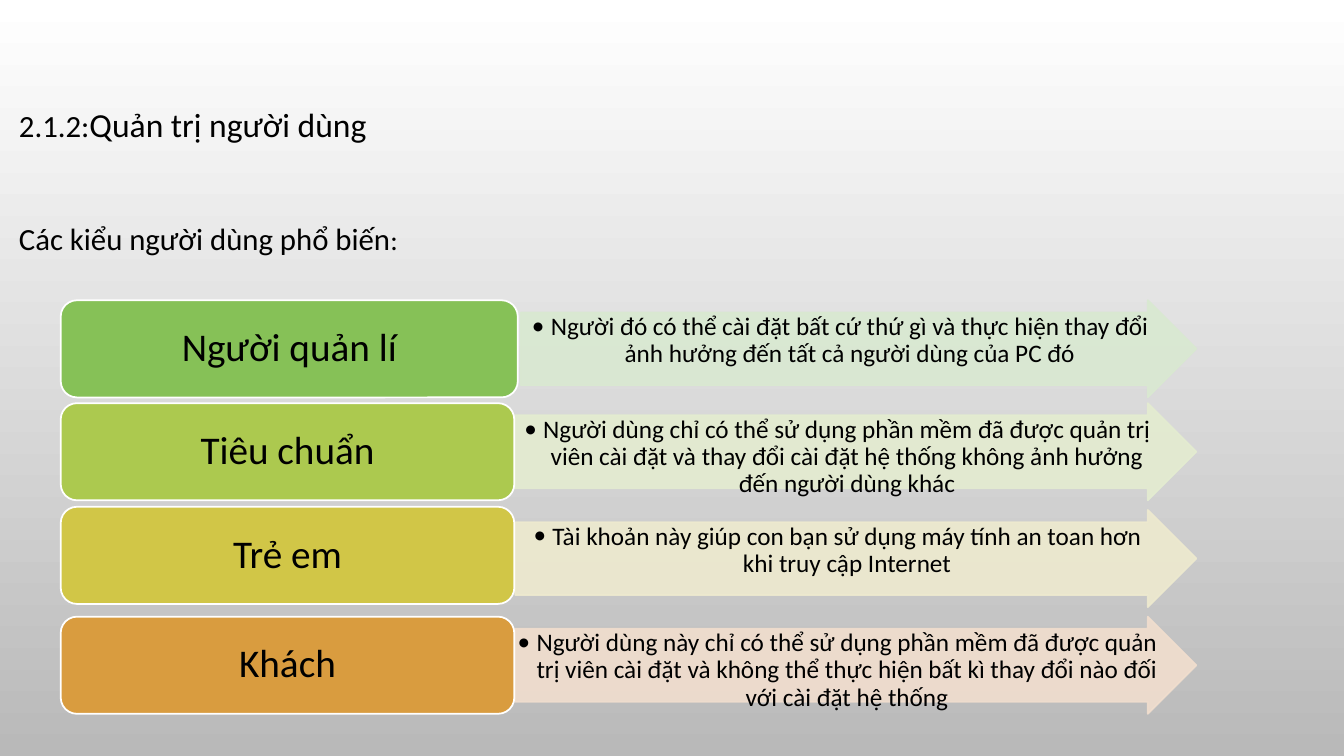
"""Build the slide on the common kinds of user account."""
from dataclasses import dataclass

from lxml.etree import SubElement
from pptx import Presentation
from pptx.dml.color import RGBColor
from pptx.enum.shapes import MSO_SHAPE as Preset
from pptx.enum.text import MSO_ANCHOR as Anchor, PP_ALIGN as Align
from pptx.oxml.ns import qn
from pptx.shapes.autoshape import Shape
from pptx.slide import Slide
from pptx.text.text import _Paragraph as Paragraph
from pptx.util import Pt

BLACK = RGBColor(0x00, 0x00, 0x00)
WHITE = RGBColor(0xFF, 0xFF, 0xFF)
GREY = RGBColor(0xB9, 0xB9, 0xB9)
GREEN = RGBColor(0x86, 0xC1, 0x57)
PALE_GREEN = RGBColor(0xD9, 0xE9, 0xD1)
LIME = RGBColor(0xAC, 0xC9, 0x4F)
PALE_LIME = RGBColor(0xE4, 0xEC, 0xD0)
YELLOW = RGBColor(0xD1, 0xC6, 0x47)
PALE_YELLOW = RGBColor(0xEE, 0xEA, 0xCF)
ORANGE = RGBColor(0xD9, 0x9C, 0x3F)
PALE_ORANGE = RGBColor(0xF1, 0xDE, 0xCE)

FONT = "Calibri"
LABEL_LEFT = 43.4
ARROW_RIGHT = 854.6
ROW_HEIGHT = 69.4
BULLET_INDENT = 13.5


@dataclass(frozen=True)
class UserType:
    """One kind of user: its label and the arrow that describes it."""
    name: str
    description: str
    color: RGBColor
    pale_color: RGBColor
    label_top: float
    arrow_top: float
    label_width: float = 324
    arrow_left: float = 368


@dataclass(frozen=True)
class HeadingRun:
    """A piece of heading text with its size."""
    text: str
    size: float


USER_TYPES = [
    UserType("Người quản lí",
             "Người đó có thể cài đặt bất cứ thứ gì và thực hiện thay đổi "
             "ảnh hưởng đến tất cả người dùng của PC đó",
             GREEN, PALE_GREEN, 214.5, 214.5, 326.5, 372),
    UserType("Tiêu chuẩn",
             "Người dùng chỉ có thể sử dụng phần mềm đã được quản trị viên cài đặt "
             "và thay đổi cài đặt hệ thống không ảnh hưởng đến người dùng khác",
             LIME, PALE_LIME, 288, 288),
    UserType("Trẻ em",
             "Tài khoản này giúp con bạn sử dụng máy tính an toan hơn "
             "khi truy cập Internet",
             YELLOW, PALE_YELLOW, 362, 364.3),
    UserType("Khách",
             "Người dùng này chỉ có thể sử dụng phần mềm đã được quản trị viên cài đặt "
             "và không thể thực hiện bất kì thay đổi nào đối với cài đặt hệ thống",
             ORANGE, PALE_ORANGE, 440.5, 440.5),
]

HEADINGS = [
    [HeadingRun("2.1.2:", 22), HeadingRun("Quản trị người dùng", 24)],
    [HeadingRun("Các kiểu người dùng phổ biến", 22), HeadingRun(":", 20)],
]


def format_runs(paragraph: Paragraph, size: float) -> None:
    """Apply the slide's font to every run of a paragraph."""
    for run in paragraph.runs:
        run.font.name = FONT
        run.font.size = Pt(size)
        run.font.color.rgb = BLACK


def add_block(slide: Slide, preset: Preset, left: float, top: float, width: float,
              fill: RGBColor, line: RGBColor) -> Shape:
    """Add a filled and outlined shape of the common row height."""
    shape = slide.shapes.add_shape(preset, Pt(left), Pt(top), Pt(width), Pt(ROW_HEIGHT))
    shape.shadow.inherit = False
    shape.fill.solid()
    shape.fill.fore_color.rgb = fill
    shape.line.color.rgb = line
    shape.line.width = Pt(1.25)
    return shape


def set_text(shape: Shape, text: str, size: float, anchor: Anchor,
             margins: tuple[float, float, float, float]) -> Paragraph:
    """Write centred text, with left, top, right and bottom margins."""
    frame = shape.text_frame
    frame.word_wrap = True
    frame.vertical_anchor = anchor
    (frame.margin_left, frame.margin_top,
     frame.margin_right, frame.margin_bottom) = map(Pt, margins)
    frame.text = text
    paragraph = frame.paragraphs[0]
    paragraph.alignment = Align.CENTER
    paragraph.line_spacing = 0.9
    format_runs(paragraph, size)
    return paragraph


def add_bullet(paragraph: Paragraph) -> None:
    """Give a paragraph a round bullet with a hanging indent."""
    properties = paragraph._p.get_or_add_pPr()
    properties.set("marL", str(Pt(BULLET_INDENT)))
    properties.set("indent", str(-Pt(BULLET_INDENT)))
    SubElement(properties, qn("a:buFont")).set("typeface", FONT)
    SubElement(properties, qn("a:buChar")).set("char", "•")


def set_opacity(shape: Shape, percent: int) -> None:
    """Make the fill and outline of a shape partly transparent."""
    for color in shape._element.spPr.iter(qn("a:srgbClr")):
        SubElement(color, qn("a:alpha")).set("val", str(percent * 1000))


def add_user_type(slide: Slide, user: UserType) -> None:
    """Draw the arrow and the label of one kind of user."""
    arrow = add_block(slide, Preset.RIGHT_ARROW, user.arrow_left, user.arrow_top,
                      ARROW_RIGHT - user.arrow_left, user.pale_color, user.pale_color)
    arrow.adjustments[0] = 0.75
    arrow.adjustments[1] = 0.5
    set_opacity(arrow, 90)
    add_bullet(set_text(arrow, user.description, 18, Anchor.TOP, (0.8, 0.8, 0.8, 0.8)))

    label = add_block(slide, Preset.ROUNDED_RECTANGLE, LABEL_LEFT, user.label_top,
                      user.label_width, user.color, WHITE)
    set_text(label, user.name, 28, Anchor.MIDDLE, (12, 8, 12, 8))


def add_headings(slide: Slide) -> None:
    """Write the section title and the line that introduces the list."""
    box = slide.shapes.add_textbox(Pt(6.5), Pt(64.8), Pt(931), Pt(130))
    frame = box.text_frame
    frame.word_wrap = True
    for index, heading in enumerate(HEADINGS):
        paragraph = frame.add_paragraph() if index else frame.paragraphs[0]
        paragraph.line_spacing = 1.2
        paragraph.space_before = Pt(48.6 * index)
        for piece in heading:
            run = paragraph.add_run()
            run.text = piece.text
            run.font.name = FONT
            run.font.size = Pt(piece.size)
            run.font.color.rgb = BLACK


def set_background(slide: Slide) -> None:
    """Fill the background from white at the top to grey at the bottom."""
    fill = slide.background.fill
    fill.gradient()
    fill.gradient_angle = 270
    for stop, color, position in zip(fill.gradient_stops, (WHITE, GREY), (0, 1)):
        stop.color.rgb = color
        stop.position = position


def main() -> None:
    """Build and save the presentation."""
    presentation = Presentation()
    presentation.slide_width = Pt(960)
    presentation.slide_height = Pt(540)
    slide = presentation.slides.add_slide(presentation.slide_layouts[6])
    set_background(slide)
    add_headings(slide)
    for user in USER_TYPES:
        add_user_type(slide, user)
    presentation.save("out.pptx")


if __name__ == "__main__":
    main()
